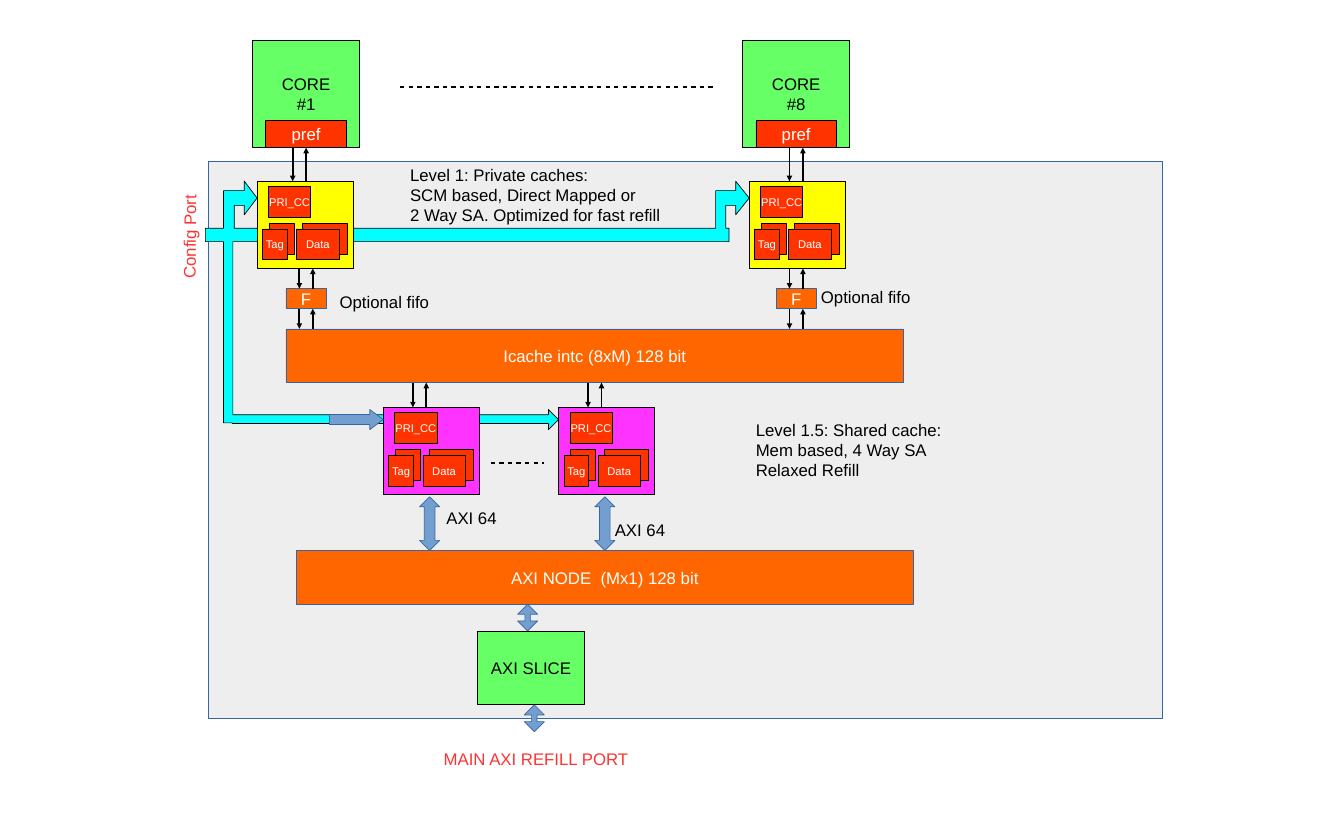
from dataclasses import dataclass

from lxml import etree
from pptx import Presentation
from pptx.dml.color import RGBColor
from pptx.enum.shapes import MSO_CONNECTOR, MSO_SHAPE
from pptx.enum.text import MSO_ANCHOR, MSO_AUTO_SIZE, PP_ALIGN
from pptx.oxml.ns import qn
from pptx.shapes.autoshape import Shape
from pptx.shapes.connector import Connector
from pptx.slide import Slide
from pptx.text.text import TextFrame
from pptx.util import Inches, Pt

RECT = MSO_SHAPE.RECTANGLE
UP_DOWN = MSO_SHAPE.UP_DOWN_ARROW
RIGHT = MSO_SHAPE.RIGHT_ARROW
STRAIGHT = MSO_CONNECTOR.STRAIGHT
MIDDLE = MSO_ANCHOR.MIDDLE
CENTER = PP_ALIGN.CENTER
LEFT = PP_ALIGN.LEFT
GROW = MSO_AUTO_SIZE.SHAPE_TO_FIT_TEXT

FONT = "Arial"
COLORS = {
    "panel": "EEEEEE", "edge": "3465A4", "black": "000000", "white": "FFFFFF",
    "config_bus": "00FFFF", "green": "66FF66", "red": "FF3300", "orange": "FF6600",
    "private": "FFFF00", "shared": "FF33FF", "arrow": "729FCF", "port": "FF3333",
}


@dataclass(frozen=True)
class Block:
    left: float
    top: float
    width: float
    height: float
    fill: str
    label: str = ""
    ink: str = "white"
    size: int = 18
    edge: str = "black"


@dataclass(frozen=True)
class BlockArrow:
    left: float
    top: float
    width: float
    height: float
    head: float
    kind: MSO_SHAPE = UP_DOWN


@dataclass(frozen=True)
class Caption:
    left: float
    top: float
    width: float
    height: float
    text: str
    ink: str = "black"
    rotation: float = 0


@dataclass(frozen=True)
class Bank:
    left: float
    top: float
    fill: str


CORES = [(3.76, "CORE\n#1"), (11.06, "CORE\n#8")]
BANKS = [Bank(3.83, 2.7, "private"), Bank(11.16, 2.7, "private"),
         Bank(5.71, 6.07, "shared"), Bank(8.32, 6.07, "shared")]
# Offsets from the corner of a bank
BANK_PARTS = [
    Block(0.18, 0.63, 0.37, 0.46, "red"),
    Block(0.08, 0.71, 0.37, 0.46, "red", "Tag", size=12),
    Block(0.68, 0.63, 0.66, 0.46, "red"),
    Block(0.59, 0.71, 0.63, 0.46, "red", "Data", size=12),
    Block(0.17, 0.08, 0.63, 0.46, "red", "PRI_CC", size=12),
]
FIFO_LEFTS = [4.26, 11.56]
STAGES = [
    Block(4.26, 4.9, 9.2, 0.8, "orange", "Icache intc (8xM) 128 bit", edge="edge"),
    Block(4.41, 8.2, 9.2, 0.8, "orange", "AXI NODE  (Mx1) 128 bit", edge="edge"),
    Block(7.11, 9.4, 1.6, 1.1, "green", "AXI SLICE", "black"),
]
# Left line, top and bottom of each request/response pair
LINKS = [(4.36, 2.2, 2.7), (11.76, 2.2, 2.7), (6.15, 5.7, 6.07), (8.76, 5.7, 6.07)]
LINKS += [(left + 0.2, top, top + 0.3) for left in FIFO_LEFTS for top in (4, 4.6)]
ELLIPSES = [(5.96, 10.66, 1.3), (7.31, 8.11, 6.9)]
BLOCK_ARROWS = [
    BlockArrow(6.25, 7.4, 0.3, 0.8, 0.53),
    BlockArrow(8.86, 7.4, 0.3, 0.8, 0.53),
    BlockArrow(7.71, 9, 0.3, 0.4, 0.27),
    BlockArrow(7.81, 10.5, 0.3, 0.4, 0.27),
    BlockArrow(4.91, 6.1, 0.8, 0.3, 0.67, RIGHT),
]
CAPTIONS = [
    Caption(6.01, 2.4, 5.75, 0.94, "Level 1: Private caches:\nSCM based, Direct Mapped or\n"
            "2 Way SA. Optimized for fast refill"),
    Caption(11.16, 6.2, 4, 0.94,
            "Level 1.5: Shared cache:\nMem based, 4 Way SA\nRelaxed Refill"),
    Caption(4.96, 4.3, 2.18, 0.38, "Optional fifo"),
    Caption(12.13, 4.22, 2.18, 0.38, "Optional fifo"),
    Caption(6.55, 7.52, 1.25, 0.38, "AXI 64"),
    Caption(9.06, 7.7, 1.25, 0.38, "AXI 64"),
    Caption(2.15, 3.27, 1.45, 0.51, "Config Port", "port", 270.3),
    Caption(6.51, 11.1, 2.95, 0.38, "MAIN AXI REFILL PORT", "port"),
]
CONFIG_BUS = [
    (3.64, 3.2), (3.64, 3.06), (3.49, 3.06), (3.49, 3.4), (10.66, 3.4), (10.66, 2.84),
    (10.96, 2.84), (10.96, 2.7), (11.16, 2.95), (10.96, 3.2), (10.96, 3.06), (10.81, 3.06),
    (10.81, 3.4), (10.86, 3.4), (10.86, 3.6), (3.47, 3.6), (3.47, 6.18), (8.17, 6.18),
    (8.17, 6.1), (8.32, 6.25), (8.17, 6.4), (8.17, 6.31), (3.46, 6.31), (3.46, 6.3),
    (3.33, 6.3), (3.33, 3.6), (3.06, 3.6), (3.06, 3.4), (3.33, 3.4), (3.33, 2.84),
    (3.64, 2.84), (3.64, 2.7), (3.83, 2.95),
]


def rgb(color: str) -> RGBColor:
    return RGBColor.from_string(COLORS[color])


def paint(shape: Shape, fill: str, edge: str) -> None:
    shape.shadow.inherit = False
    shape.fill.solid()
    shape.fill.fore_color.rgb = rgb(fill)
    shape.line.color.rgb = rgb(edge)
    shape.line.width = Pt(0)


def write(frame: TextFrame, text: str, ink: str, size: int, align: PP_ALIGN) -> None:
    frame.word_wrap = False
    frame.text = text
    for paragraph in frame.paragraphs:
        paragraph.alignment = align
        for run in paragraph.runs:
            run.font.name = FONT
            run.font.size = Pt(size)
            run.font.color.rgb = rgb(ink)


def add_block(slide: Slide, block: Block, dx: float = 0, dy: float = 0) -> None:
    shape = slide.shapes.add_shape(RECT, Inches(block.left + dx), Inches(block.top + dy),
                                   Inches(block.width), Inches(block.height))
    paint(shape, block.fill, block.edge)
    if block.label:
        shape.text_frame.vertical_anchor = MIDDLE
        write(shape.text_frame, block.label, block.ink, block.size, CENTER)


def add_line(slide: Slide, x1: float, y1: float, x2: float, y2: float,
             width: float) -> Connector:
    line = slide.shapes.add_connector(STRAIGHT, Inches(x1), Inches(y1), Inches(x2), Inches(y2))
    line.line.color.rgb = rgb("black")
    line.line.width = Pt(width)
    etree.SubElement(line._element.spPr, qn("a:effectLst"))
    return line


def add_link(slide: Slide, x: float, top: float, bottom: float) -> None:
    """Draw a downward arrow with an upward one to its right."""
    for at, start, end in ((x, top, bottom), (x + 0.2, bottom, top)):
        outline = add_line(slide, at, start, at, end, 0).line._get_or_add_ln()
        etree.SubElement(outline, qn("a:tailEnd"), type="triangle")


def add_ellipsis(slide: Slide, x1: float, x2: float, y: float) -> None:
    """Draw the dashed line that stands for the units left out."""
    outline = add_line(slide, x1, y, x2, y, 2.3).line._get_or_add_ln()
    dashes = etree.SubElement(outline, qn("a:custDash"))
    etree.SubElement(dashes, qn("a:ds"), d="200000", sp="200000")


def add_block_arrow(slide: Slide, arrow: BlockArrow) -> None:
    shape = slide.shapes.add_shape(arrow.kind, Inches(arrow.left), Inches(arrow.top),
                                   Inches(arrow.width), Inches(arrow.height))
    shape.adjustments[0] = 0.5
    shape.adjustments[1] = arrow.head
    paint(shape, "arrow", "edge")


def add_caption(slide: Slide, caption: Caption) -> None:
    box = slide.shapes.add_textbox(Inches(caption.left), Inches(caption.top),
                                   Inches(caption.width), Inches(caption.height))
    box.rotation = caption.rotation
    write(box.text_frame, caption.text, caption.ink, 18, LEFT)
    box.text_frame.auto_size = GROW


def add_config_bus(slide: Slide) -> None:
    start, *rest = [(Inches(x), Inches(y)) for x, y in CONFIG_BUS]
    builder = slide.shapes.build_freeform(*start)
    builder.add_line_segments(rest, close=True)
    paint(builder.convert_to_shape(), "config_bus", "black")


def main() -> None:
    deck = Presentation()
    deck.slide_width, deck.slide_height = Inches(20.02), Inches(12.2)
    slide = deck.slides.add_slide(deck.slide_layouts[6])
    add_block(slide, Block(3.11, 2.4, 14.2, 8.3, "panel", edge="edge"))
    add_config_bus(slide)
    for left, label in CORES:
        add_block(slide, Block(left, 0.6, 1.6, 1.6, "green", label, "black"))
        add_block(slide, Block(left + 0.2, 1.8, 1.2, 0.4, "red", "pref"))
    for bank in BANKS:
        add_block(slide, Block(bank.left, bank.top, 1.43, 1.3, bank.fill))
        for part in BANK_PARTS:
            add_block(slide, part, bank.left, bank.top)
    for left in FIFO_LEFTS:
        add_block(slide, Block(left, 4.3, 0.6, 0.3, "orange", "F", edge="edge"))
    for stage in STAGES:
        add_block(slide, stage)
    for link in LINKS:
        add_link(slide, *link)
    for ellipsis in ELLIPSES:
        add_ellipsis(slide, *ellipsis)
    for arrow in BLOCK_ARROWS:
        add_block_arrow(slide, arrow)
    for caption in CAPTIONS:
        add_caption(slide, caption)
    deck.save("out.pptx")


if __name__ == "__main__":
    main()
